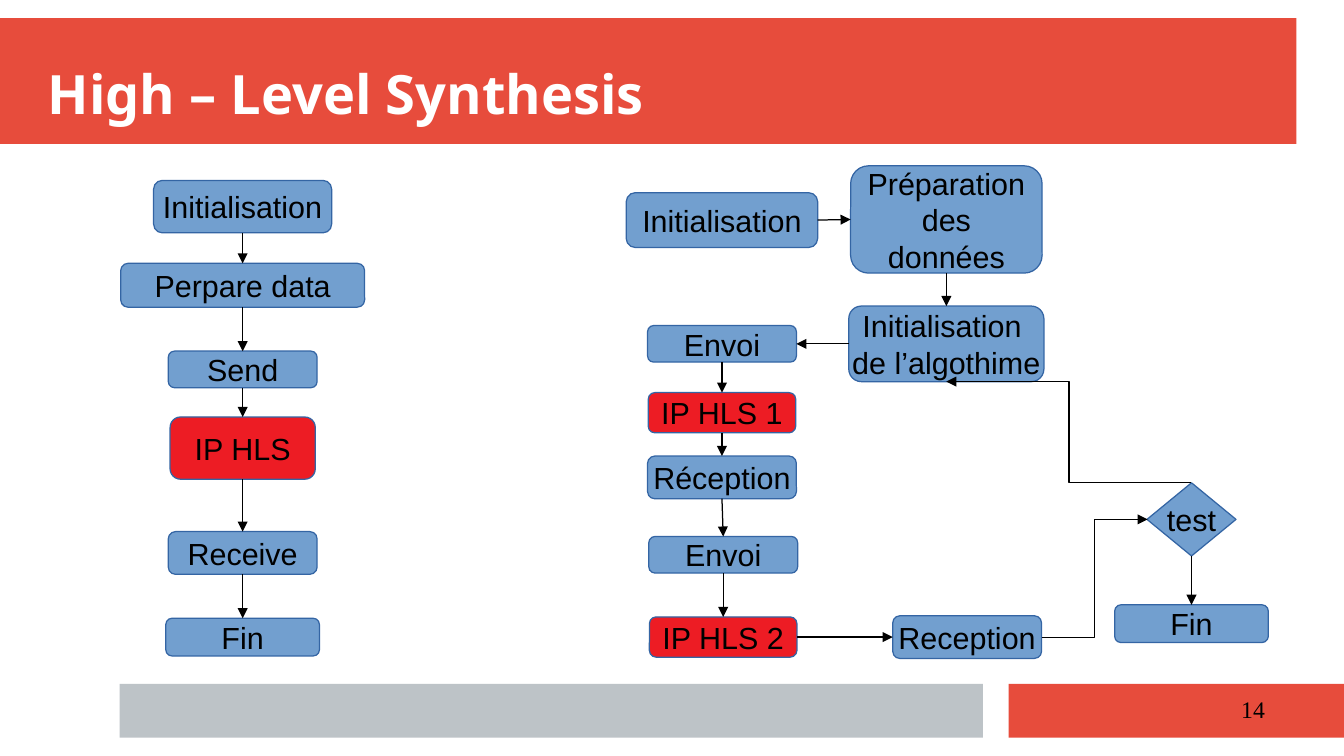
from lxml import etree
from pptx import Presentation
from pptx.dml.color import RGBColor
from pptx.enum.shapes import MSO_CONNECTOR, MSO_SHAPE
from pptx.enum.text import MSO_ANCHOR, MSO_AUTO_SIZE, PP_ALIGN
from pptx.oxml.ns import qn
from pptx.util import Inches, Pt

RED = RGBColor(0xE7, 0x4C, 0x3C)
GREY = RGBColor(0xBD, 0xC3, 0xC7)
BLUE = RGBColor(0x72, 0x9F, 0xCF)
BORDER = RGBColor(0x34, 0x65, 0xA4)
IP_RED = RGBColor(0xED, 0x1C, 0x24)
BLACK = RGBColor(0, 0, 0)
WHITE = RGBColor(0xFF, 0xFF, 0xFF)
RECT = MSO_SHAPE.RECTANGLE
BOX = MSO_SHAPE.FLOWCHART_ALTERNATE_PROCESS
DIAMOND = MSO_SHAPE.FLOWCHART_DECISION
STRAIGHT, ELBOW = MSO_CONNECTOR.STRAIGHT, MSO_CONNECTOR.ELBOW
TOP, LEFT, BOTTOM, RIGHT = range(4)


def add_text(p, text, font, size, color, align):
    p.alignment = align
    r = p.add_run()
    r.text = text
    r.font.name, r.font.size = font, Pt(size)
    r.font.color.rgb = color
    return r


def style_arrow(c):
    c.line.color.rgb = BLACK
    c.line.width = Pt(0.75)
    etree.SubElement(c.line._get_or_add_ln(), qn("a:tailEnd"), type="triangle")
    etree.SubElement(c._element.spPr, qn("a:effectLst"))


prs = Presentation()
prs.slide_width, prs.slide_height = Inches(11.02), Inches(6.2)
s = prs.slides.add_slide(prs.slide_layouts[5])

# Colour bands
for x, y, w, h, color in [
    (0, 0.15, 10.63, 1.03, RED),
    (8.27, 5.61, 2.75, 0.44, RED),
    (0.98, 5.61, 7.08, 0.44, GREY),
]:
    sp = s.shapes.add_shape(RECT, Inches(x), Inches(y), Inches(w), Inches(h))
    sp.shadow.inherit = False
    sp.fill.solid()
    sp.fill.fore_color.rgb = color
    sp.line.fill.background()

# Title, brought in front of the bands
title = s.shapes.title
title.left, title.top = Inches(0.39), Inches(0.3)
title.width, title.height = Inches(10.23), Inches(0.73)
tf = title.text_frame
tf.auto_size = MSO_AUTO_SIZE.NONE
tf.vertical_anchor = MSO_ANCHOR.BOTTOM
tf.margin_left = tf.margin_right = tf.margin_top = tf.margin_bottom = 0
r = add_text(tf.paragraphs[0], "High – Level Synthesis", "Noto Sans", 32, WHITE, PP_ALIGN.LEFT)
r.font.bold = True
s.shapes._spTree.append(title._element)

# Flowchart steps: key, text, centre x, top, width, height, fill, shape
steps = {}
for key, text, cx, y, w, h, color, kind in [
    ("init", "Initialisation", 1.99, 1.48, 1.46, 0.43, BLUE, BOX),
    ("prepare", "Perpare data", 1.99, 2.16, 2, 0.36, BLUE, BOX),
    ("send", "Send", 1.99, 2.88, 1.22, 0.3, BLUE, BOX),
    ("ip", "IP HLS", 1.99, 3.42, 1.19, 0.51, IP_RED, BOX),
    ("receive", "Receive", 1.99, 4.36, 1.22, 0.35, BLUE, BOX),
    ("end", "Fin", 1.99, 5.07, 1.26, 0.31, BLUE, BOX),
    ("init2", "Initialisation", 5.92, 1.58, 1.57, 0.45, BLUE, BOX),
    ("prepare2", "Préparation\ndes\ndonnées", 7.76, 1.36, 1.57, 0.88, BLUE, BOX),
    ("algo", "Initialisation \nde l’algothime", 7.76, 2.51, 1.6, 0.62, BLUE, BOX),
    ("send1", "Envoi", 5.92, 2.67, 1.22, 0.3, BLUE, BOX),
    ("ip1", "IP HLS 1", 5.92, 3.22, 1.21, 0.33, IP_RED, BOX),
    ("receive1", "Réception", 5.92, 3.74, 1.22, 0.35, BLUE, BOX),
    ("send2", "Envoi", 5.93, 4.4, 1.22, 0.3, BLUE, BOX),
    ("ip2", "IP HLS 2", 5.93, 5.06, 1.21, 0.33, IP_RED, BOX),
    ("receive2", "Reception", 7.93, 5.05, 1.22, 0.35, BLUE, BOX),
    ("test", "test", 9.77, 3.96, 0.73, 0.6, BLUE, DIAMOND),
    ("end2", "Fin", 9.77, 4.96, 1.26, 0.31, BLUE, BOX),
]:
    sp = s.shapes.add_shape(kind, Inches(cx - w / 2), Inches(y), Inches(w), Inches(h))
    sp.shadow.inherit = False
    sp.fill.solid()
    sp.fill.fore_color.rgb = color
    sp.line.color.rgb = BORDER
    sp.line.width = Pt(0.75)
    tf = sp.text_frame
    tf.word_wrap = False
    tf.vertical_anchor = MSO_ANCHOR.MIDDLE
    for i, line in enumerate(text.split("\n")):
        p = tf.add_paragraph() if i else tf.paragraphs[0]
        add_text(p, line, "Arial", 18, BLACK, PP_ALIGN.CENTER)
    steps[key] = sp

# Straight arrows joined to the steps
for start, start_side, end, end_side in [
    ("init", BOTTOM, "prepare", TOP),
    ("prepare", BOTTOM, "send", TOP),
    ("send", BOTTOM, "ip", TOP),
    ("ip", BOTTOM, "receive", TOP),
    ("receive", BOTTOM, "end", TOP),
    ("init2", RIGHT, "prepare2", LEFT),
    ("prepare2", BOTTOM, "algo", TOP),
    ("algo", LEFT, "send1", RIGHT),
    ("send1", BOTTOM, "ip1", TOP),
    ("ip1", BOTTOM, "receive1", TOP),
    ("receive1", BOTTOM, "send2", TOP),
    ("send2", BOTTOM, "ip2", TOP),
    ("ip2", RIGHT, "receive2", LEFT),
    ("test", BOTTOM, "end2", TOP),
]:
    c = s.shapes.add_connector(STRAIGHT, 0, 0, 0, 0)
    c.begin_connect(steps[start], start_side)
    c.end_connect(steps[end], end_side)
    style_arrow(c)

# Elbow arrows into and out of the test
for x1, y1, x2, y2 in [(8.54, 5.23, 9.41, 4.26), (9.77, 3.96, 7.76, 3.13)]:
    c = s.shapes.add_connector(ELBOW, Inches(x1), Inches(y1), Inches(x2), Inches(y2))
    style_arrow(c)

# Slide number
tb = s.shapes.add_textbox(Inches(7.9), Inches(5.65), Inches(2.57), Inches(0.43))
tb.text_frame.word_wrap = True
add_text(tb.text_frame.paragraphs[0], "14", "Times New Roman", 14, BLACK, PP_ALIGN.RIGHT)

prs.save("out.pptx")
